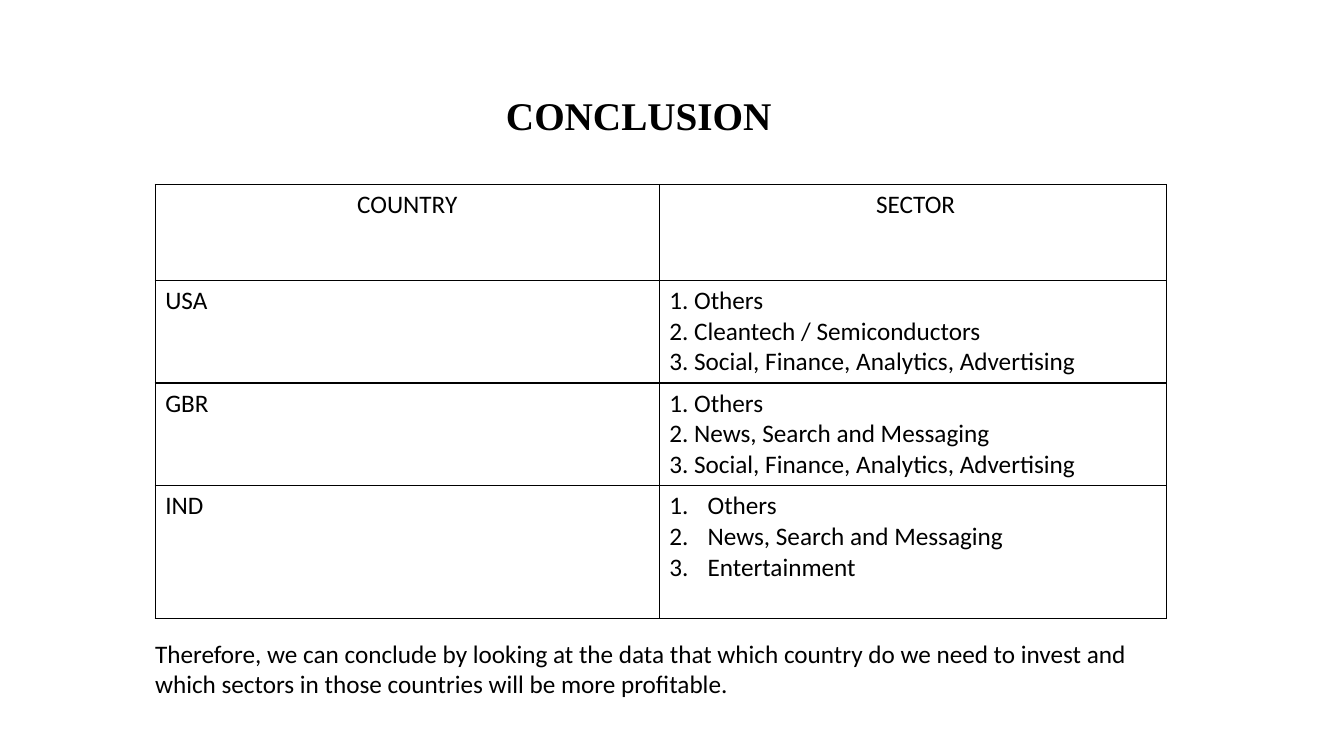
"""Build the conclusion slide with its table of countries and sectors."""
from dataclasses import dataclass

from lxml import etree
from pptx import Presentation
from pptx.dml.color import RGBColor
from pptx.enum.text import MSO_ANCHOR, PP_ALIGN
from pptx.oxml.ns import qn
from pptx.util import Inches, Pt

LEFT, CENTER = PP_ALIGN.LEFT, PP_ALIGN.CENTER
TOP, MIDDLE = MSO_ANCHOR.TOP, MSO_ANCHOR.MIDDLE


@dataclass(frozen=True)
class Theme:
    ink: str = "000000"
    paper: str = "FFFFFF"
    title_font: str = "Times New Roman"
    body_font: str = "Calibri"
    title_size: int = 28
    body_size: int = 18
    border_width: int = 1


theme = Theme()


def write_text(frame, text, font=theme.body_font, size=theme.body_size, bold=False,
               align=LEFT, anchor=TOP, line_spacing=None, numbered=False):
    frame.word_wrap = True
    frame.vertical_anchor = anchor
    for index, line in enumerate(text.split("\n")):
        paragraph = frame.add_paragraph() if index else frame.paragraphs[0]
        paragraph.alignment = align
        if line_spacing:
            paragraph.line_spacing = line_spacing
        if numbered:
            properties = paragraph._p.get_or_add_pPr()
            properties.set("marL", str(Inches(0.38)))
            properties.set("indent", str(-Inches(0.38)))
            etree.SubElement(properties, qn("a:buAutoNum"), type="arabicPeriod")
        run = paragraph.add_run()
        run.text = line
        run.font.name = font
        run.font.size = Pt(size)
        run.font.bold = bold
        run.font.color.rgb = RGBColor.from_string(theme.ink)


def add_borders(cell):
    properties = cell._tc.get_or_add_tcPr()
    for side in ("a:lnL", "a:lnR", "a:lnT", "a:lnB"):
        border = etree.SubElement(properties, qn(side), w=str(Pt(theme.border_width)))
        fill = etree.SubElement(border, qn("a:solidFill"))
        etree.SubElement(fill, qn("a:srgbClr"), val=theme.ink)


presentation = Presentation()
presentation.slide_width = Inches(13.33)
presentation.slide_height = Inches(7.5)
slide = presentation.slides.add_slide(presentation.slide_layouts[6])
slide.background.fill.solid()
slide.background.fill.fore_color.rgb = RGBColor.from_string(theme.paper)

column = presentation.slide_width / 100
row = presentation.slide_height / 100

title = slide.shapes.add_textbox(
    int(9.3 * column), int(9.33 * row), int(76.44 * column), int(12.53 * row))
write_text(title.text_frame, "CONCLUSION", font=theme.title_font, size=theme.title_size,
           bold=True, align=CENTER, anchor=MIDDLE, line_spacing=0.9)

table_rows = [
    ("COUNTRY", " SECTOR"),
    ("USA", "1. Others\n2. Cleantech / Semiconductors\n"
            "3. Social, Finance, Analytics, Advertising"),
    ("GBR", "1. Others \n2. News, Search and Messaging\n"
            "3. Social, Finance, Analytics, Advertising"),
    ("IND", "Others\nNews, Search and Messaging\nEntertainment"),
]
column_spans = (37.5, 37.74)
row_spans = (12.67, 13.6, 13.6, 17.6)

table = slide.shapes.add_table(
    len(row_spans), len(column_spans), int(11.55 * column), int(24.4 * row),
    int(sum(column_spans) * column), int(sum(row_spans) * row)).table
table.first_row = False
table.horz_banding = False
for table_column, span in zip(table.columns, column_spans):
    table_column.width = int(span * column)
for table_row, span in zip(table.rows, row_spans):
    table_row.height = int(span * row)

for row_index, texts in enumerate(table_rows):
    for column_index, text in enumerate(texts):
        cell = table.cell(row_index, column_index)
        add_borders(cell)
        cell.fill.background()
        write_text(cell.text_frame, text, align=LEFT if row_index else CENTER,
                   numbered=(row_index, column_index) == (3, 1))

closing = slide.shapes.add_textbox(
    int(10.8 * column), int(83.73 * row), int(76.82 * column), int(13.47 * row))
write_text(closing.text_frame,
           "Therefore, we can conclude by looking at the data that which country do we need "
           "to invest and which sectors in those countries will be more profitable.")

presentation.save("out.pptx")
